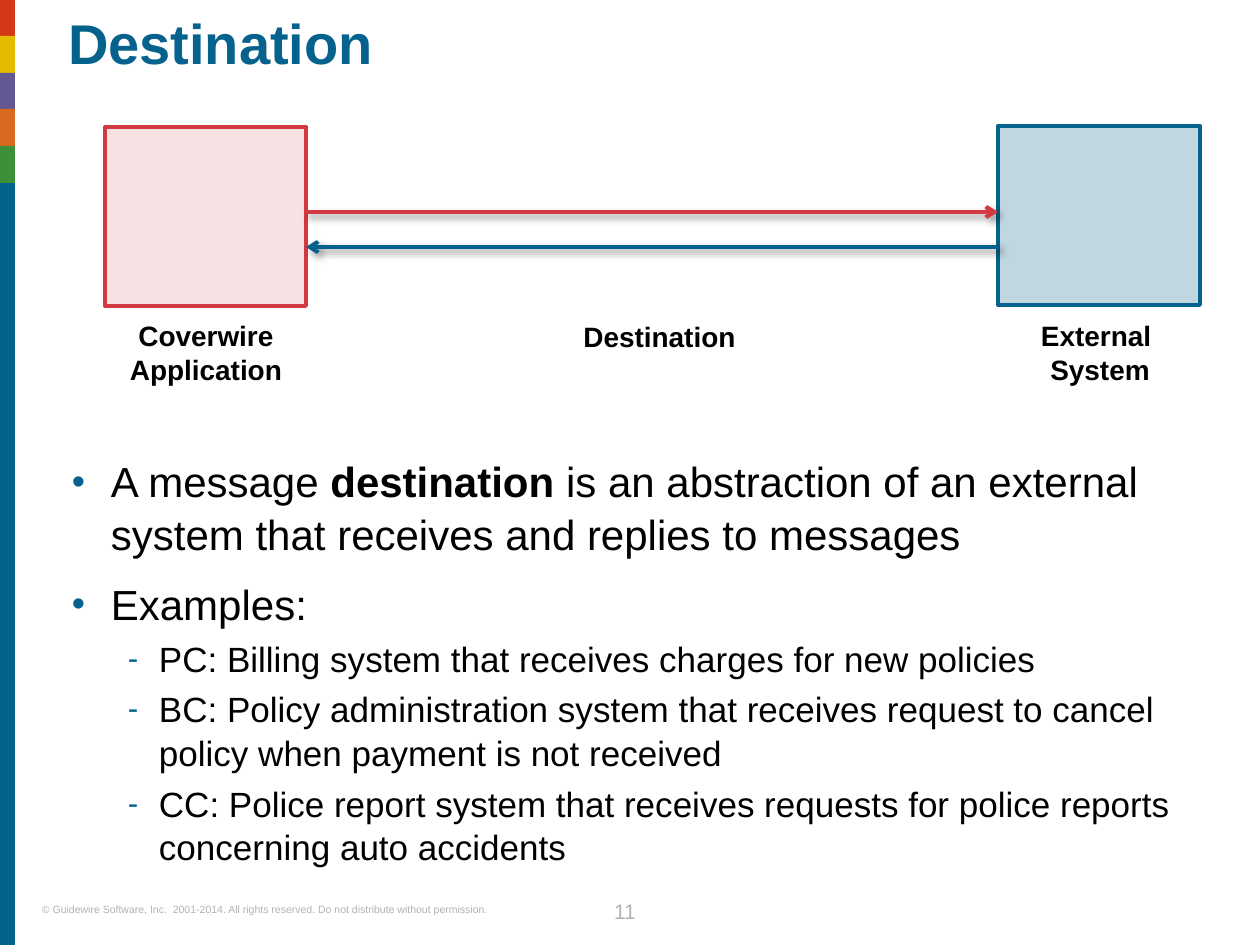
from lxml import etree
from pptx import Presentation
from pptx.dml.color import RGBColor
from pptx.enum.shapes import MSO_CONNECTOR, MSO_SHAPE
from pptx.enum.text import MSO_ANCHOR, MSO_AUTO_SIZE, PP_ALIGN
from pptx.oxml.ns import qn
from pptx.util import Pt

RECT = MSO_SHAPE.RECTANGLE
LINE = MSO_CONNECTOR.STRAIGHT
LEFT, MID = PP_ALIGN.LEFT, PP_ALIGN.CENTER
TOP, FIXED = MSO_ANCHOR.TOP, MSO_AUTO_SIZE.NONE
BLUE, RED, BLACK, GREY = "04628C", "D33941", "000000", "B2B2B2"

TITLE = "Destination"
STRIPES = ["D33819", "E5BA03", "645893", "D8691E", "3F8E39"]
BOXES = [((105, 127, 201, 179), "E5888D", RED), ((998, 126, 202, 179), BLUE, BLUE)]
ARROWS = [(304, 998, 212, RED), (998, 306, 247, BLUE)]
LABELS = [
    ((93, 319, 226, 68), "Coverwire Application"),
    ((987, 319, 226, 68), "External \vSystem"),
    ((573, 320, 173, 34), "Destination"),
]
NOTE = "© Guidewire Software, Inc.  2001-2014. All rights reserved. Do not distribute without permission."
PAGE = "11"
POINTS = [
    (0, [("A message ", False), ("destination ", True),
         ("is an abstraction of an external system that receives and replies to messages", False)]),
    (0, [("Examples:", False)]),
    (1, [("PC: Billing system that receives charges for new policies", False)]),
    (1, [("BC: Policy administration system that receives request to cancel "
          "policy when payment is not received", False)]),
    (1, [("CC: Police report system that receives requests for police reports "
          "concerning auto accidents", False)]),
]
LEVELS = [
    {"mark": "•", "size": 24, "gap": 10, "left": 39, "hang": 39},
    {"mark": "-", "size": 20, "gap": 4, "left": 87, "hang": 31},
]


def px(n):
    return round(n * 914400 / 126)


def rgb(code):
    return RGBColor.from_string(code)


def add(node, tag, **vals):
    return etree.SubElement(node, qn(tag), vals)


def apply(item, vals):
    for name, val in vals.items():
        setattr(item, name, val)


def style(font, size, code, bold=False):
    apply(font, {"name": "Arial", "size": Pt(size), "bold": bold})
    font.color.rgb = rgb(code)


def setup(frame, top=0):
    apply(frame, {"word_wrap": True, "auto_size": FIXED, "vertical_anchor": TOP,
                  "margin_left": 0, "margin_right": 0, "margin_top": px(top), "margin_bottom": 0})
    return frame


def text(slide, area, words, size, code, bold=False, **form):
    frame = setup(slide.shapes.add_textbox(*map(px, area)).text_frame)
    para = frame.paragraphs[0]
    para.text = words
    apply(para, form)
    style(para.font, size, code, bold)
    for run in para.runs:
        style(run.font, size, code, bold)


def rect(slide, area, fill, edge=None):
    shape = slide.shapes.add_shape(RECT, *map(px, area))
    shape.shadow.inherit = False
    shape.fill.solid()
    shape.fill.fore_color.rgb = rgb(fill)
    if edge:
        shape.line.color.rgb = rgb(edge)
        shape.line.width = Pt(2.25)
        add(shape._element.spPr.find(qn("a:solidFill"))[0], "a:alpha", val="25000")
    else:
        shape.line.fill.background()


def arrow(slide, start, end, y, code):
    link = slide.shapes.add_connector(LINE, px(start), px(y), px(end), px(y))
    link.line.color.rgb = rgb(code)
    link.line.width = Pt(2.25)
    props = link._element.spPr
    add(props.find(qn("a:ln")), "a:tailEnd", type="arrow")
    shade = add(add(props, "a:effectLst"), "a:outerShdw", blurRad=str(Pt(4)),
                dist=str(Pt(3)), dir=str(45 * 60000), rotWithShape="0")
    add(add(shade, "a:srgbClr", val=BLACK), "a:alpha", val="40000")


def bullet(para, level):
    props = para._p.get_or_add_pPr()
    props.set("marL", str(px(level["left"])))
    props.set("indent", str(-px(level["hang"])))
    add(add(props, "a:buClr"), "a:srgbClr", val=BLUE)
    add(props, "a:buSzPct", val="90000")
    add(props, "a:buFont", typeface="Arial")
    add(props, "a:buChar", char=level["mark"])


def body(slide):
    frame = setup(slide.shapes.add_textbox(*map(px, (72, 451, 1147, 431))).text_frame, 3)
    for i, (depth, runs) in enumerate(POINTS):
        para = frame.add_paragraph() if i else frame.paragraphs[0]
        level = LEVELS[depth]
        bullet(para, level)
        apply(para, {"level": depth, "line_spacing": 1.04,
                     "space_before": Pt(level["gap"] if i else 0)})
        for words, bold in runs:
            run = para.add_run()
            run.text = words
            style(run.font, level["size"], BLACK, bold)


def main():
    deck = Presentation()
    deck.slide_width, deck.slide_height = px(1260), px(945)
    slide = deck.slides.add_slide(deck.slide_layouts[5])

    title = slide.shapes.title
    apply(title, dict(zip(("left", "top", "width", "height"), map(px, (68, 16, 1147, 102)))))
    para = setup(title.text_frame).paragraphs[0]
    para.text = TITLE
    apply(para, {"alignment": LEFT, "line_spacing": 0.9})
    style(para.runs[0].font, 32, BLUE, True)

    edges = [183 * i // len(STRIPES) for i in range(len(STRIPES) + 1)]
    rect(slide, (0, 183, 15, 762), BLUE)
    for code, top, low in zip(STRIPES, edges, edges[1:]):
        rect(slide, (0, top, 15, low - top), code)

    text(slide, (42, 903, 507, 13), NOTE, 6, GREY)
    text(slide, (589, 892, 72, 32), PAGE, 12, GREY, alignment=MID, line_spacing=Pt(18))
    body(slide)
    for box in BOXES:
        rect(slide, *box)
    for item in ARROWS:
        arrow(slide, *item)
    for area, words in LABELS:
        text(slide, area, words, 16, BLACK, True, alignment=MID)
    deck.save("out.pptx")


if __name__ == "__main__":
    main()
